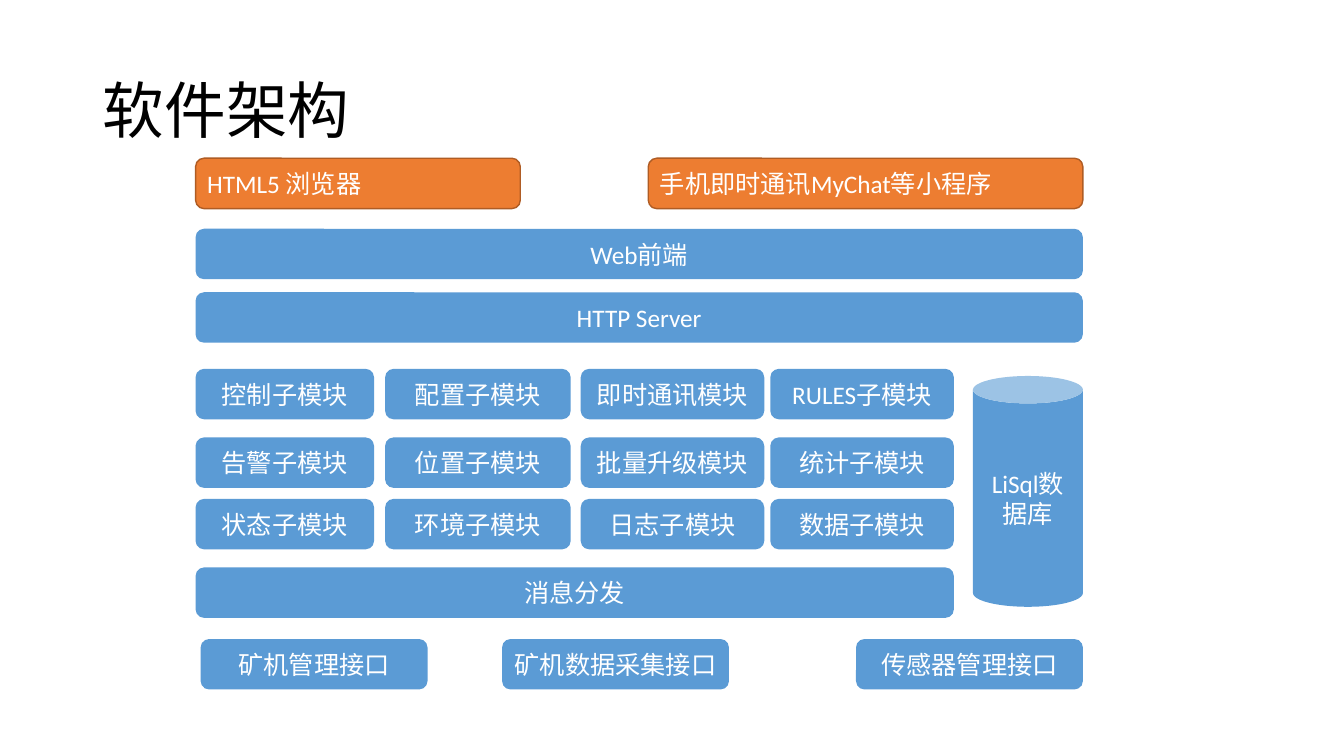
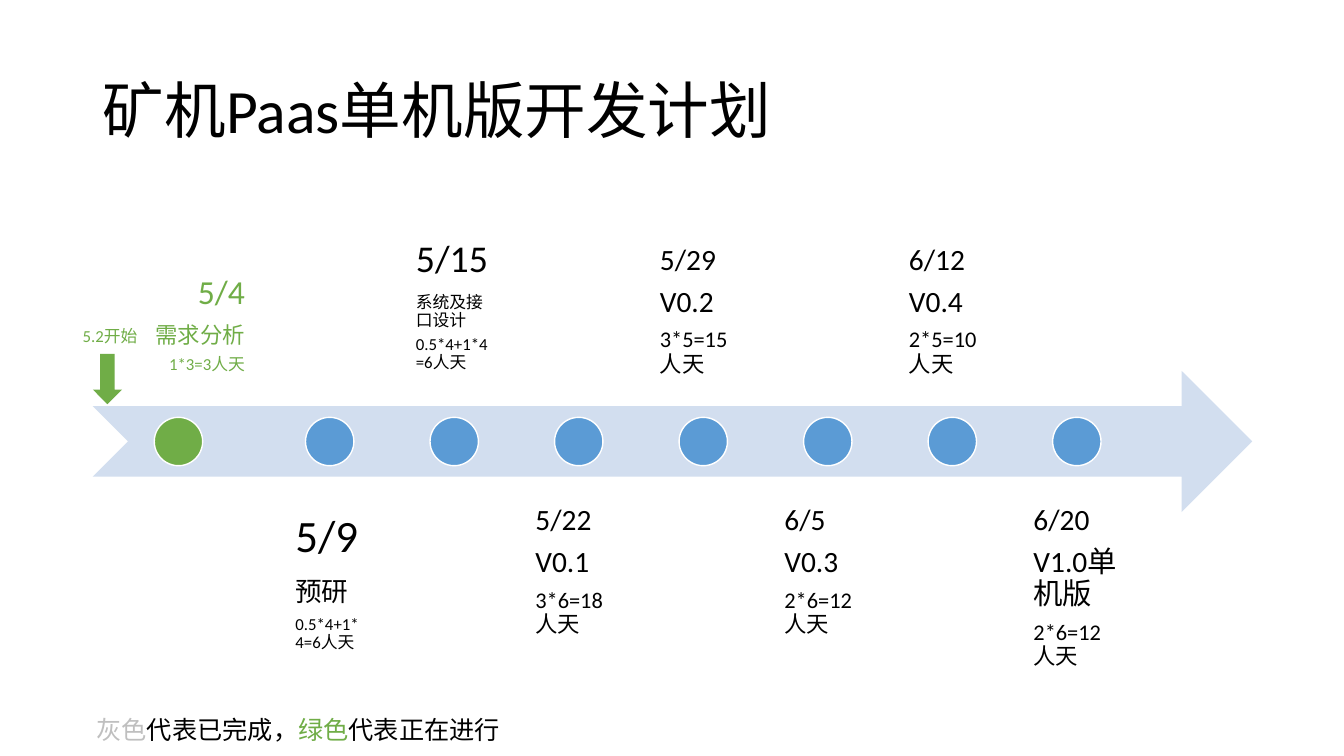
from dataclasses import dataclass

import pptx
import pptx.dml.color
import pptx.enum.shapes
import pptx.enum.text
import pptx.util

Inches = pptx.util.Inches
Shape = pptx.enum.shapes.MSO_SHAPE
Align = pptx.enum.text.PP_ALIGN
Anchor = pptx.enum.text.MSO_ANCHOR

# Shared style
FONT = "Calibri"
BLACK, WHITE, GREY = "000000", "FFFFFF", "BFBFBF"
BLUE, PALE_BLUE, GREEN = "5B9BD5", "D2DEEF", "70AD47"
ORANGE, DARK_ORANGE = "ED7D31", "AF5C24"
TITLE_BOX = (0.92, 0.4, 11.5, 1.45)


@dataclass
class Block:
    text: str
    left: float
    top: float
    width: float
    height: float = 0.5
    kind: Shape = Shape.ROUNDED_RECTANGLE
    fill: str = BLUE
    line: str | None = None
    align: Align = Align.CENTER


@dataclass
class Milestone:
    date: str
    name: str
    effort: str
    sizes: tuple[int, int, int] = (21, 21, 16)
    inset: float = 0.16


def colour(value: str) -> pptx.dml.color.RGBColor:
    return pptx.dml.color.RGBColor.from_string(value)


def place(item, left: float, top: float, width: float, height: float) -> None:
    item.left, item.top = Inches(left), Inches(top)
    item.width, item.height = Inches(width), Inches(height)


def add_span(para, text: str, *, size: float, color: str) -> None:
    span = para.add_run()
    span.text = text
    span.font.name = FONT
    span.font.size = pptx.util.Pt(size)
    span.font.color.rgb = colour(color)


def write(frame, paragraphs: list[list[tuple[str, float, str]]], *,
          align: Align = Align.LEFT, anchor: Anchor = Anchor.TOP,
          inset: tuple[float, float] = (0.1, 0.05),
          line_spacing: float = 1.0, after: float = 0) -> None:
    """Each paragraph is a list of (text, size, colour); after is a share of its size."""
    frame.word_wrap = True
    frame.auto_size = pptx.enum.text.MSO_AUTO_SIZE.NONE
    frame.vertical_anchor = anchor
    frame.margin_left = frame.margin_right = Inches(inset[0])
    frame.margin_top = frame.margin_bottom = Inches(inset[1])
    for index, spans in enumerate(paragraphs):
        para = frame.add_paragraph() if index else frame.paragraphs[0]
        para.alignment = align
        para.line_spacing = line_spacing
        para.space_after = pptx.util.Pt(round(after * spans[0][1], 1))
        for text, size, color in spans:
            add_span(para, text, size=size, color=color)


def add_page(deck, title: str):
    page = deck.slides.add_slide(deck.slide_layouts[5])
    place(page.shapes.title, *TITLE_BOX)
    write(page.shapes.title.text_frame, [[(title, 44, BLACK)]],
          anchor=Anchor.MIDDLE, line_spacing=0.9)
    return page


def add_figure(page, kind: Shape, left: float, top: float, width: float, height: float,
               fill: str, line: str | None = None):
    figure = page.shapes.add_shape(kind, Inches(left), Inches(top), Inches(width), Inches(height))
    figure.shadow.inherit = False
    figure.fill.solid()
    figure.fill.fore_color.rgb = colour(fill)
    if line:
        figure.line.color.rgb = colour(line)
        figure.line.width = pptx.util.Pt(1)
    else:
        figure.line.fill.background()
    return figure


def add_text(page, left: float, top: float, width: float, height: float,
             paragraphs: list[list[tuple[str, float, str]]], **style) -> None:
    box = page.shapes.add_textbox(Inches(left), Inches(top), Inches(width), Inches(height))
    write(box.text_frame, paragraphs, **style)


def add_block(page, block: Block) -> None:
    figure = add_figure(page, block.kind, block.left, block.top, block.width, block.height,
                        block.fill, block.line)
    write(figure.text_frame, [[(block.text, 18, WHITE)]], align=block.align,
          anchor=Anchor.MIDDLE, inset=(0.09, 0.05))


def add_milestone(page, item: Milestone, left: float, width: float, dot_left: float,
                  *, above: bool, active: bool) -> None:
    ink = GREEN if active else BLACK
    texts = (item.date, item.name, item.effort)
    add_text(page, left, 2 if above else 4.85, width, 1.9,
             [[(text, size, ink)] for text, size in zip(texts, item.sizes)],
             align=Align.RIGHT if active else Align.LEFT,
             anchor=Anchor.BOTTOM if above else Anchor.TOP,
             inset=(item.inset, item.inset), line_spacing=0.9, after=0.35)
    add_figure(page, Shape.OVAL, dot_left, 4.14, 0.48, 0.48, GREEN if active else BLUE, WHITE)


def build_architecture(deck) -> None:
    page = add_page(deck, "软件架构")
    left = 1.94
    client = {"fill": ORANGE, "line": DARK_ORANGE, "align": Align.LEFT}
    blocks = [
        Block("HTML5 浏览器", left, 1.57, 3.22, **client),
        Block("手机即时通讯MyChat等小程序", 6.43, 1.57, 4.31, **client),
        Block("Web前端", left, 2.27, 8.8),
        Block("HTTP Server", left, 2.9, 8.8),
        Block("消息分发", left, 5.63, 7.52),
        Block("LiSql数据库", 9.65, 3.73, 1.09, 2.29, kind=Shape.CAN),
    ]
    # Module grid
    columns = [(left, 1.77), (3.82, 1.84), (5.76, 1.82), (7.64, 1.82)]
    rows = {
        3.66: ("控制子模块", "配置子模块", "即时通讯模块", "RULES子模块"),
        4.34: ("告警子模块", "位置子模块", "批量升级模块", "统计子模块"),
        4.95: ("状态子模块", "环境子模块", "日志子模块", "数据子模块"),
    }
    for top, names in rows.items():
        blocks += [Block(name, x, top, width) for name, (x, width) in zip(names, columns)]
    # Device interfaces
    interfaces = {"矿机管理接口": 1.99, "矿机数据采集接口": 4.98, "传感器管理接口": 8.49}
    blocks += [Block(name, x, 6.34, 2.25) for name, x in interfaces.items()]
    for block in blocks:
        add_block(page, block)


def build_plan(deck) -> None:
    page = add_page(deck, "矿机Paas单机版开发计划")
    add_figure(page, Shape.NOTCHED_RIGHT_ARROW, 0.92, 3.68, 11.5, 1.4, PALE_BLUE)

    # Milestones: the active one first, the rest evenly spaced below and above
    analysis = Milestone("5/4", "需求分析", "1*3=3人天", (24, 16, 12), 0.19)
    add_milestone(page, analysis, 0.92, 1.7, 1.53, above=True, active=True)
    upcoming = [
        Milestone("5/9", "预研", "0.5*4+1*4=6人天", (32, 19, 12), 0.25),
        Milestone("5/15", "系统及接口设计", "0.5*4+1*4=6人天", (27, 12, 12), 0.21),
        Milestone("5/22", "V0.1", "3*6=18人天"),
        Milestone("5/29", "V0.2", "3*5=15人天"),
        Milestone("6/5", "V0.3", "2*6=12人天"),
        Milestone("6/12", "V0.4", "2*5=10人天"),
        Milestone("6/20", "V1.0单机版", "2*6=12人天"),
    ]
    pitch = 7.41 / (len(upcoming) - 1)
    for index, item in enumerate(upcoming):
        shift = index * pitch
        add_milestone(page, item, 2.68 + shift, 1.18, 3.03 + shift,
                      above=index % 2 == 1, active=False)

    # Start marker and legend
    add_figure(page, Shape.DOWN_ARROW, 0.92, 3.51, 0.29, 0.5, GREEN)
    add_text(page, 0.72, 3.18, 0.75, 0.3, [[("5.2开始", 12, GREEN)]])
    add_text(page, 0.86, 7.04, 4.24, 0.4, [[
        ("灰色", 18, GREY), ("代表已完成，", 18, BLACK),
        ("绿色", 18, GREEN), ("代表正在进行", 18, BLACK),
    ]])


deck = pptx.Presentation()
deck.slide_width, deck.slide_height = Inches(13.33), Inches(7.5)
build_architecture(deck)
build_plan(deck)
deck.save("out.pptx")
